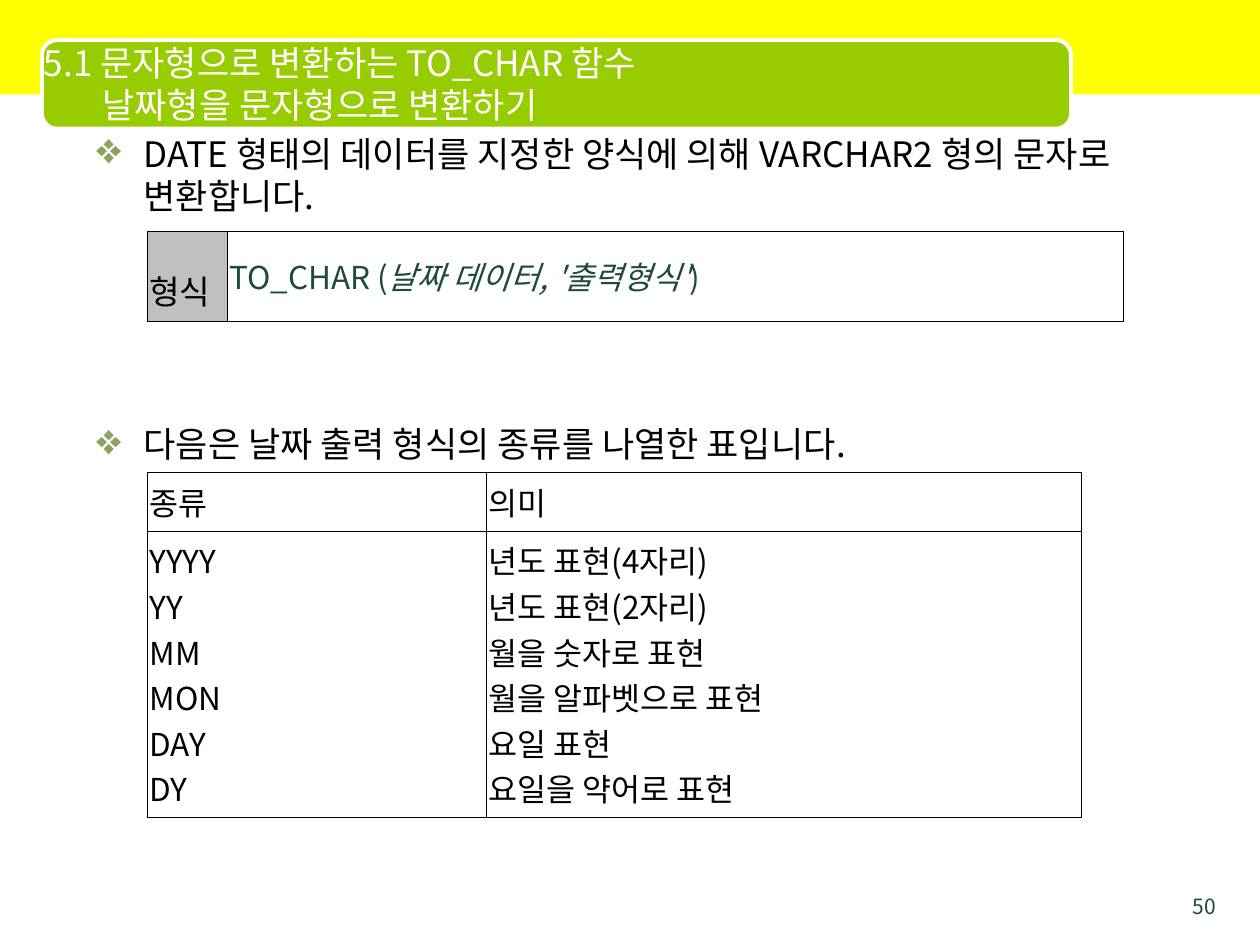
"""Builds a slide on turning dates into text with TO_CHAR."""
from lxml import etree
from pptx import Presentation
from pptx.dml.color import RGBColor
from pptx.enum import shapes, text
from pptx.oxml.ns import qn
from pptx.util import Pt

FONT = "Noto Sans CJK KR"
BLACK, WHITE, GREEN = "000000", "FFFFFF", "1D4940"
JUSTIFY = text.PP_ALIGN.JUSTIFY


def rgb(value):
    """Turn a hex string into a colour."""
    return RGBColor.from_string(value)


def add_bullet(p, char, color, indent):
    """Give a paragraph a coloured bullet and a hanging indent."""
    pPr = p._p.get_or_add_pPr()
    pPr.set("marL", str(Pt(indent)))
    pPr.set("indent", str(-Pt(indent)))
    clr = etree.SubElement(pPr, qn("a:buClr"))
    etree.SubElement(clr, qn("a:srgbClr"), val=color)
    etree.SubElement(pPr, qn("a:buSzPct"), val="125000")
    etree.SubElement(pPr, qn("a:buChar"), char=char)


def add_text(tf, content, size=18, color=BLACK, align=None, spacing=None,
             before=None, left=None, bullet=None):
    """Write one paragraph from a string or a list of (text, italic) runs."""
    p = tf.paragraphs[-1]
    if p.runs:
        p = tf.add_paragraph()
    if bullet:
        add_bullet(p, bullet, "8CA35F", 27)
    if left:
        p._p.get_or_add_pPr().set("marL", str(Pt(left)))
    if align is not None:
        p.alignment = align
    if spacing is not None:
        p.line_spacing = spacing
    if before is not None:
        p.space_before = Pt(before)
    runs = [(content, None)] if isinstance(content, str) else content
    for words, italic in runs:
        r = p.add_run()
        r.text = words
        r.font.size = Pt(size)
        r.font.name = FONT
        r.font.italic = italic
        r.font.color.rgb = rgb(color)
        etree.SubElement(r._r.get_or_add_rPr(), qn("a:ea"), typeface=FONT)


def add_box(slide, x, y, w, h, anchor=text.MSO_ANCHOR.TOP):
    """Add a wrapping text box and return its text frame."""
    tf = slide.shapes.add_textbox(Pt(x), Pt(y), Pt(w), Pt(h)).text_frame
    tf.word_wrap = True
    tf.vertical_anchor = anchor
    return tf


def add_panel(slide, kind, x, y, w, h, fill, line=None):
    """Add a flat filled shape."""
    sp = slide.shapes.add_shape(kind, Pt(x), Pt(y), Pt(w), Pt(h))
    sp.shadow.inherit = False
    sp.fill.solid()
    sp.fill.fore_color.rgb = rgb(fill)
    if line:
        sp.line.color.rgb = rgb(line)
        sp.line.width = Pt(2.25)
    else:
        sp.line.fill.background()


def style_cell(cell, fill=None):
    """Set margins, thin black borders and fill of a cell."""
    cell.margin_left = cell.margin_right = Pt(1.44)
    cell.margin_top = cell.margin_bottom = Pt(3.6)
    cell.vertical_anchor = text.MSO_ANCHOR.MIDDLE
    tcPr = cell._tc.get_or_add_tcPr()
    for side in ("lnL", "lnR", "lnT", "lnB"):
        ln = etree.SubElement(tcPr, qn(f"a:{side}"), w=str(Pt(0.11)))
        solid = etree.SubElement(ln, qn("a:solidFill"))
        etree.SubElement(solid, qn("a:srgbClr"), val=BLACK)
    if fill:
        cell.fill.solid()
        cell.fill.fore_color.rgb = rgb(fill)
    else:
        cell.fill.background()


def add_grid(slide, x, y, widths, heights):
    """Add a plain table with the given column widths and row heights."""
    frame = slide.shapes.add_table(len(heights), len(widths), Pt(x), Pt(y),
                                   Pt(sum(widths)), Pt(sum(heights)))
    table = frame.table
    table.first_row = table.horz_banding = False
    for column, width in zip(table.columns, widths):
        column.width = Pt(width)
    for row, height in zip(table.rows, heights):
        row.height = Pt(height)
    return table


def header(slide, x, y, w, h):
    """Draw the top band, the title plate and the title."""
    add_panel(slide, shapes.MSO_SHAPE.RECTANGLE, x, y, w, h, "FFFF00")
    add_panel(slide, shapes.MSO_SHAPE.ROUNDED_RECTANGLE,
              x + 24, y + 23, 588, 50.5, "99CC00", WHITE)
    tf = add_box(slide, x + 18, y + 25.2, 618, 44.6, text.MSO_ANCHOR.MIDDLE)
    fmt = dict(size=20, color=WHITE, spacing=Pt(24))
    add_text(tf, "5.1 문자형으로 변환하는 TO_CHAR 함수", **fmt)
    add_text(tf, "날짜형을 문자형으로 변환하기", left=33.5, **fmt)


def body(slide, x, y, w, h):
    """Write the two bulleted statements."""
    tf = add_box(slide, x, y, w, h)
    fmt = dict(size=20, spacing=Pt(24), bullet="❖")
    add_text(tf, "DATE 형태의 데이터를 지정한 양식에 의해 VARCHAR2 형의 문자로 "
                 "변환합니다.", **fmt)
    add_text(tf, "다음은 날짜 출력 형식의 종류를 나열한 표입니다.", before=118, **fmt)


def syntax_table(slide, x, y, w, h):
    """Show the call syntax beside its label."""
    label, syntax = add_grid(slide, x, y, [45.5, w - 45.5], [h]).rows[0].cells
    style_cell(label, "C0C0C0")
    style_cell(syntax)
    add_text(label.text_frame, "형식", size=19, align=JUSTIFY, spacing=1.6)
    add_text(syntax.text_frame, [("TO_CHAR (", False),
                                 ("날짜 데이터, '출력형식'", True),
                                 (")", False)], color=GREEN)


def format_table(slide, x, y, w, h):
    """List the date formats and their meanings."""
    columns = [
        ("종류", ["YYYY", "YY", "MM", "MON", "DAY", "DY"]),
        ("의미", ["년도 표현(4자리)", "년도 표현(2자리)", "월을 숫자로 표현",
                "월을 알파벳으로 표현", "요일 표현", "요일을 약어로 표현"]),
    ]
    table = add_grid(slide, x, y, [193.7, w - 193.7], [33.5, h - 33.5])
    for i, (heading, entries) in enumerate(columns):
        for j, lines in enumerate(([heading], entries)):
            cell = table.cell(j, i)
            style_cell(cell)
            for line in lines:
                add_text(cell.text_frame, line, align=JUSTIFY)


def page_number(slide, x, y, w, h):
    """Write the page number."""
    add_text(add_box(slide, x, y, w, h), "50", size=12, color=GREEN,
             align=text.PP_ALIGN.RIGHT)


def main():
    """Build and save the slide."""
    prs = Presentation()
    prs.slide_width, prs.slide_height = Pt(720), Pt(540)
    slide = prs.slides.add_slide(prs.slide_layouts[6])
    header(slide, 0, 0, 720, 54)
    page_number(slide, 666, 507, 36, 15)
    body(slide, 48, 72, 654, 442)
    syntax_table(slide, 84, 132, 558, 51.5)
    format_table(slide, 84, 270, 534, 197)
    prs.save("out.pptx")


if __name__ == "__main__":
    main()
